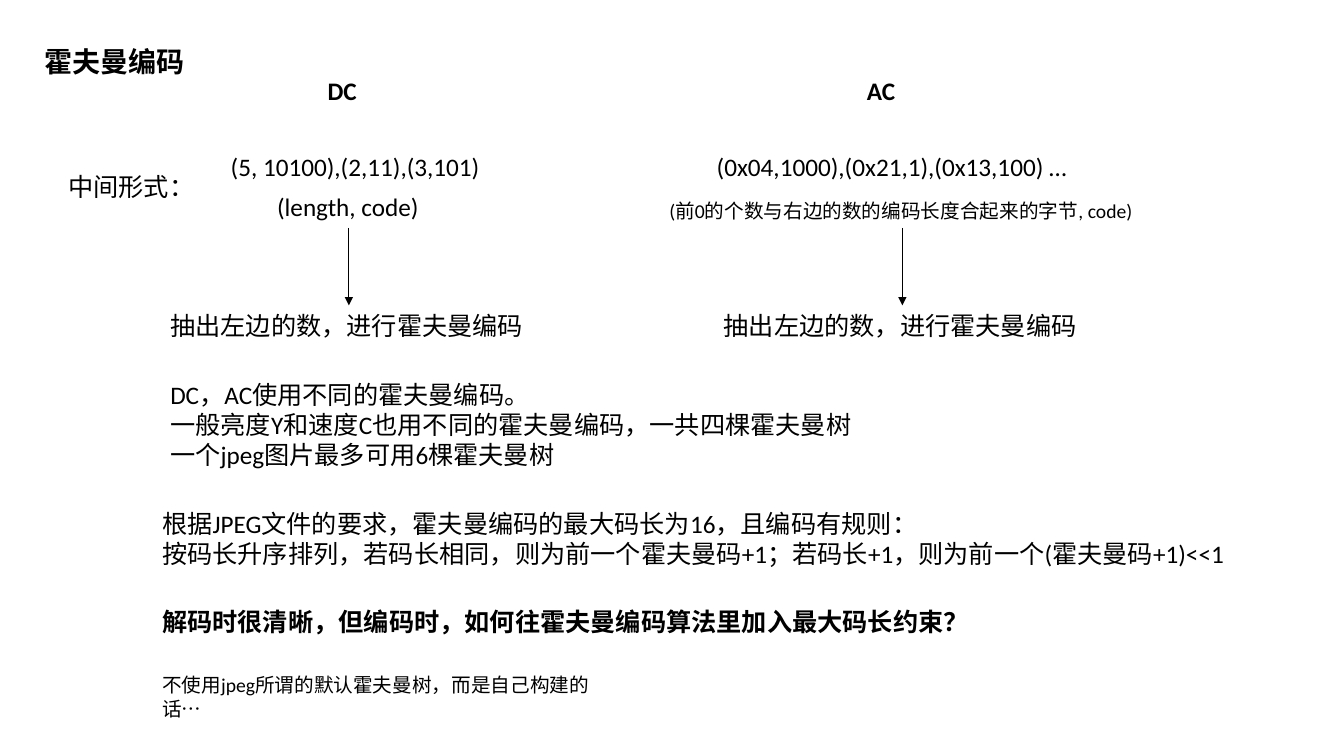
from lxml.etree import SubElement
from pptx import Presentation
from pptx.dml.color import RGBColor
from pptx.enum.shapes import MSO_CONNECTOR as Connector
from pptx.enum.text import MSO_ANCHOR as Anchor, MSO_AUTO_SIZE as AutoSize, PP_ALIGN as Align
from pptx.oxml.ns import qn
from pptx.util import Inches, Pt

FONT = "Calibri"
BLACK = "000000"
LEFT_NUMBERS = "抽出左边的数，进行霍夫曼编码"


def color(hex_code):
    return RGBColor.from_string(hex_code)


def fill_text(box, lines, size, bold):
    frame = box.text_frame
    frame.word_wrap = True
    frame.auto_size = AutoSize.SHAPE_TO_FIT_TEXT
    frame.vertical_anchor = Anchor.TOP
    for index, line in enumerate(lines):
        para = frame.add_paragraph() if index else frame.paragraphs[0]
        para.alignment = Align.LEFT
        span = para.add_run()
        span.text = line
        span.font.name = FONT
        span.font.size = Pt(size)
        span.font.bold = bold
        span.font.color.rgb = color(BLACK)


def add_title(page, text, left, top, width, height):
    title = page.shapes.title
    title.left, title.top = Inches(left), Inches(top)
    title.width, title.height = Inches(width), Inches(height)
    fill_text(title, [text], 20, True)


def add_text(page, lines, left, top, width, height=0.4, size=18, bold=False):
    box = page.shapes.add_textbox(Inches(left), Inches(top), Inches(width), Inches(height))
    fill_text(box, lines, size, bold)


def add_down_arrow(page, x, top, bottom):
    arrow = page.shapes.add_connector(
        Connector.STRAIGHT, Inches(x), Inches(top), Inches(x), Inches(bottom))
    arrow.line.color.rgb = color(BLACK)
    arrow.line.width = Pt(0.5)
    SubElement(arrow.line._get_or_add_ln(), qn("a:tailEnd"), type="triangle")
    SubElement(arrow._element.spPr, qn("a:effectLst"))


def main():
    deck = Presentation()
    deck.slide_width, deck.slide_height = Inches(13.33), Inches(7.5)
    page = deck.slides.add_slide(deck.slide_layouts[5])

    add_title(page, "霍夫曼编码", 0.34, 0.39, 1.6, 0.44)
    add_text(page, ["中间形式："], 0.58, 1.65, 1.46)

    # DC and AC columns
    add_text(page, ["(5, 10100),(2,11),(3,101)"], 2.19, 1.45, 2.7)
    add_text(page, ["(length, code)"], 2.65, 1.85, 1.62)
    add_text(page, ["(0x04,1000),(0x21,1),(0x13,100) …"], 7.01, 1.45, 3.69)
    add_text(page, ["(前0的个数与右边的数的编码长度合起来的字节, code)"],
             6.54, 1.92, 4.83, 0.34, size=14)
    for heading, heading_left, step_left in (("DC", 3.15, 1.59), ("AC", 8.5, 7.08)):
        step_width = 3.74
        add_text(page, [heading], heading_left, 0.7, 0.71, bold=True)
        add_down_arrow(page, step_left + step_width / 2, 2.26, 3.03)
        add_text(page, [LEFT_NUMBERS], step_left, 3.03, step_width)

    # Rules and open question
    add_text(page, [
        "DC，AC使用不同的霍夫曼编码。",
        "一般亮度Y和速度C也用不同的霍夫曼编码，一共四棵霍夫曼树",
        "一个jpeg图片最多可用6棵霍夫曼树",
    ], 1.59, 3.71, 7.02, 1.01)
    add_text(page, [
        "根据JPEG文件的要求，霍夫曼编码的最大码长为16，且编码有规则：",
        "按码长升序排列，若码长相同，则为前一个霍夫曼码+1；若码长+1，则为前一个(霍夫曼码+1)<<1",
    ], 1.51, 4.99, 10.84, 0.71)
    add_text(page, ["解码时很清晰，但编码时，如何往霍夫曼编码算法里加入最大码长约束？"],
             1.51, 5.97, 8.32, bold=True)
    add_text(page, ["不使用jpeg所谓的默认霍夫曼树，而是自己构建的话…"],
             1.51, 6.63, 4.8, 0.34, size=14)

    deck.save("out.pptx")


if __name__ == "__main__":
    main()
